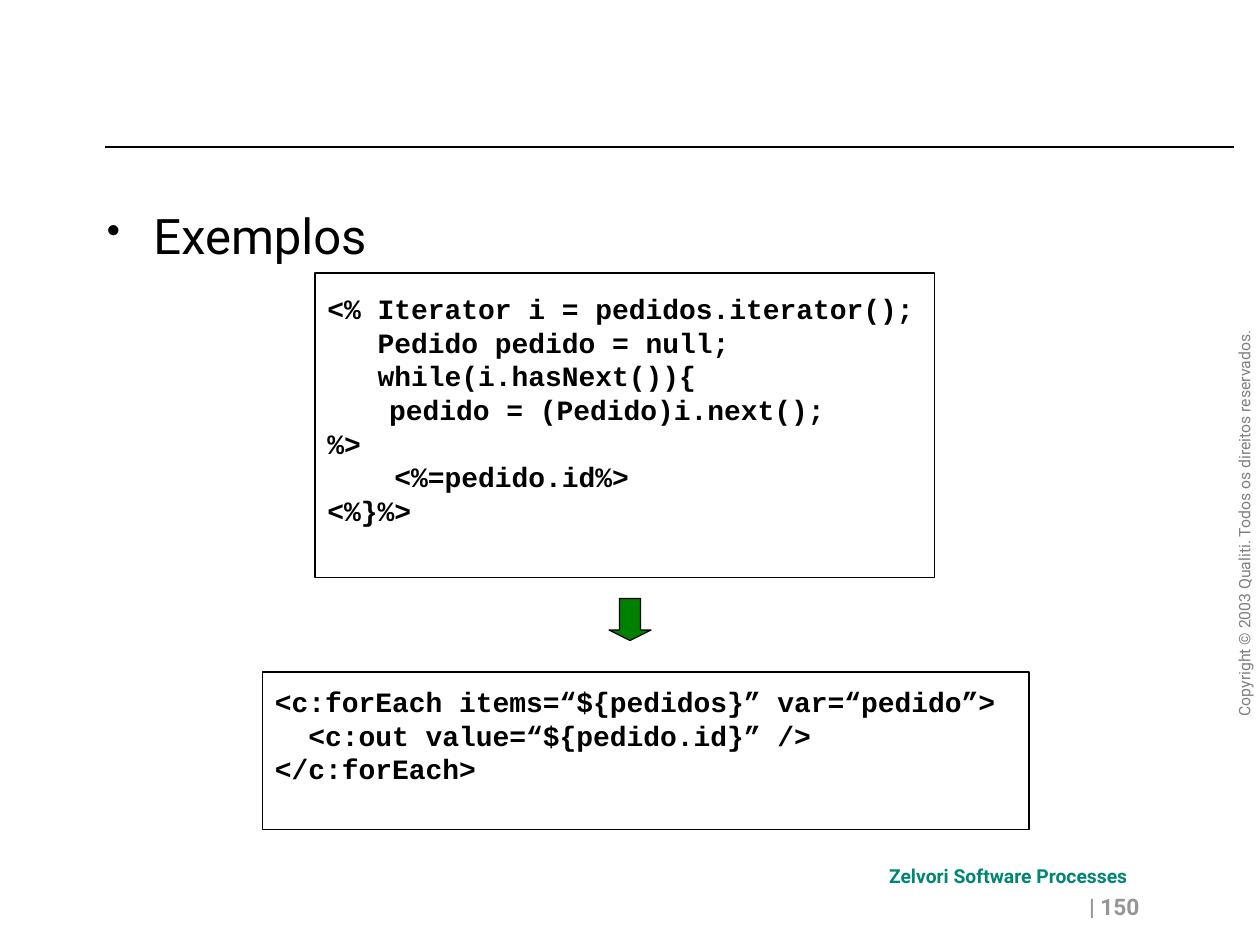
"""Build a slide that sets a scriptlet loop beside its tag library equivalent."""
from dataclasses import dataclass

import lxml.etree
import pptx
import pptx.dml.color
import pptx.enum.shapes
import pptx.enum.text
import pptx.oxml.ns
import pptx.util

COLUMNS, ROWS = 120, 90
ALIGN = pptx.enum.text.PP_ALIGN
ANCHOR = pptx.enum.text.MSO_ANCHOR
SHAPE = pptx.enum.shapes.MSO_SHAPE

SCRIPTLET = [
    "<% Iterator i = pedidos.iterator();",
    "   Pedido pedido = null;",
    "   while(i.hasNext()){",
    " \tpedido = (Pedido)i.next();",
    "%>",
    "    <%=pedido.id%>",
    "<%}%>",
]
TAGS = [
    "<c:forEach items=“${pedidos}” var=“pedido”>",
    "  <c:out value=“${pedido.id}” />",
    "</c:forEach>",
]


@dataclass(frozen=True)
class Theme:
    """Colours, fonts, type sizes and line width of the slide."""
    ink: str = "000000"
    paper: str = "FFFFFF"
    arrow: str = "008000"
    brand: str = "008673"
    copyright: str = "808080"
    number: str = "969696"
    sans: str = "Roboto"
    mono: str = "Courier New"
    body_size: int = 28
    code_size: int = 16
    number_size: int = 13
    brand_size: int = 11
    copyright_size: int = 9
    rule: float = 0.75
    code_tab: float = 0.49
    bullet_indent: float = 0.37


THEME = Theme()


@dataclass(frozen=True)
class Box:
    """A region in columns and rows of the page grid."""
    left: float
    top: float
    width: float
    height: float

    def place(self, deck):
        """Return left, top, width and height in slide units."""
        column, row = deck.slide_width / COLUMNS, deck.slide_height / ROWS
        return (round(self.left * column), round(self.top * row),
                round(self.width * column), round(self.height * row))


def rgb(colour):
    """Turn a hex string into a colour."""
    return pptx.dml.color.RGBColor.from_string(colour)


def add_child(parent, tag, **attributes):
    """Append a drawing element to its parent."""
    child = lxml.etree.SubElement(parent, pptx.oxml.ns.qn(tag))
    for name, value in attributes.items():
        child.set(name, str(value))
    return child


def set_font(para, size, colour, name=THEME.sans, bold=False):
    """Set the font shared by all runs of a paragraph."""
    font = para.font
    font.name, font.size, font.bold = name, pptx.util.Pt(size), bold
    font.color.rgb = rgb(colour)


def add_text(deck, page, box, text):
    """Add a wrapping text box and return it with its paragraph."""
    label = page.shapes.add_textbox(*box.place(deck))
    label.text_frame.word_wrap = True
    para = label.text_frame.paragraphs[0]
    para.text = text
    return label, para


def add_outlined(deck, page, box, kind, fill):
    """Add a filled preset shape with a thin outline."""
    shape = page.shapes.add_shape(kind, *box.place(deck))
    shape.shadow.inherit = False
    shape.fill.solid()
    shape.fill.fore_color.rgb = rgb(fill)
    shape.line.color.rgb = rgb(THEME.ink)
    shape.line.width = pptx.util.Pt(THEME.rule)
    return shape


def add_header_rule(deck, page, box):
    """Draw the rule along the top of the box."""
    left, top, width, _ = box.place(deck)
    rule = page.shapes.add_connector(
        pptx.enum.shapes.MSO_CONNECTOR.STRAIGHT, left, top, left + width, top)
    rule.line.color.rgb = rgb(THEME.ink)
    rule.line.width = pptx.util.Pt(THEME.rule)
    add_child(rule._element.spPr, "a:effectLst")


def add_copyright(deck, page, box):
    """Write the copyright line up the right edge."""
    label, para = add_text(
        deck, page, box, "Copyright © 2003 Qualiti. Todos os direitos reservados.")
    label.rotation = 270
    set_font(para, THEME.copyright_size, THEME.copyright)


def add_footer(deck, page, brand_box, number_box):
    """Write the company name and the page number."""
    _, brand = add_text(deck, page, brand_box, "Zelvori Software Processes")
    set_font(brand, THEME.brand_size, THEME.brand, bold=True)
    _, number = add_text(deck, page, number_box, "| 150")
    number.alignment = ALIGN.RIGHT
    set_font(number, THEME.number_size, THEME.number, bold=True)


def add_bullet(deck, page, box, text):
    """Write a bulleted line with a hanging indent."""
    _, para = add_text(deck, page, box, text)
    properties = para._p.get_or_add_pPr()
    indent = pptx.util.Inches(THEME.bullet_indent)
    properties.set("marL", str(indent))
    properties.set("indent", str(-indent))
    add_child(add_child(properties, "a:buClr"), "a:srgbClr", val=THEME.ink)
    add_child(properties, "a:buSzPct", val=80000)
    add_child(properties, "a:buChar", char="•")
    set_font(para, THEME.body_size, THEME.ink)


def add_code(deck, page, box, lines):
    """Show code in an outlined panel, with one line of room below it."""
    panel = add_outlined(deck, page, box, SHAPE.RECTANGLE, THEME.paper)
    frame = panel.text_frame
    frame.word_wrap = True
    frame.vertical_anchor = ANCHOR.MIDDLE
    frame.margin_bottom = pptx.util.Inches(0.3)
    for index, line in enumerate(lines):
        para = frame.add_paragraph() if index else frame.paragraphs[0]
        para.text = line
        para.alignment = ALIGN.LEFT
        tabs = add_child(para._p.get_or_add_pPr(), "a:tabLst")
        add_child(tabs, "a:tab", pos=pptx.util.Inches(THEME.code_tab), algn="l")
        set_font(para, THEME.code_size, THEME.ink, THEME.mono, True)


def add_arrow(deck, page, box):
    """Point from the scriptlet down to the tags."""
    arrow = add_outlined(deck, page, box, SHAPE.DOWN_ARROW, THEME.arrow)
    arrow.adjustments[0], arrow.adjustments[1] = 0.5, 0.25


def main():
    """Build and save the deck."""
    deck = pptx.Presentation()
    deck.slide_width, deck.slide_height = pptx.util.Inches(10), pptx.util.Inches(7.5)
    page = deck.slides.add_slide(deck.slide_layouts[6])
    add_header_rule(deck, page, Box(10, 14, 107.5, 0))
    add_copyright(deck, page, Box(97.9, 47.3, 41.2, 3))
    add_footer(deck, page, Box(83.5, 81.7, 26.9, 3.5), Box(51.7, 84.4, 58, 4))
    add_bullet(deck, page, Box(9, 19, 102, 62), "Exemplos")
    add_code(deck, page, Box(30, 26, 59, 29), SCRIPTLET)
    add_code(deck, page, Box(25, 64, 73, 15), TAGS)
    add_arrow(deck, page, Box(58, 57, 4, 4))
    deck.save("out.pptx")


if __name__ == "__main__":
    main()
